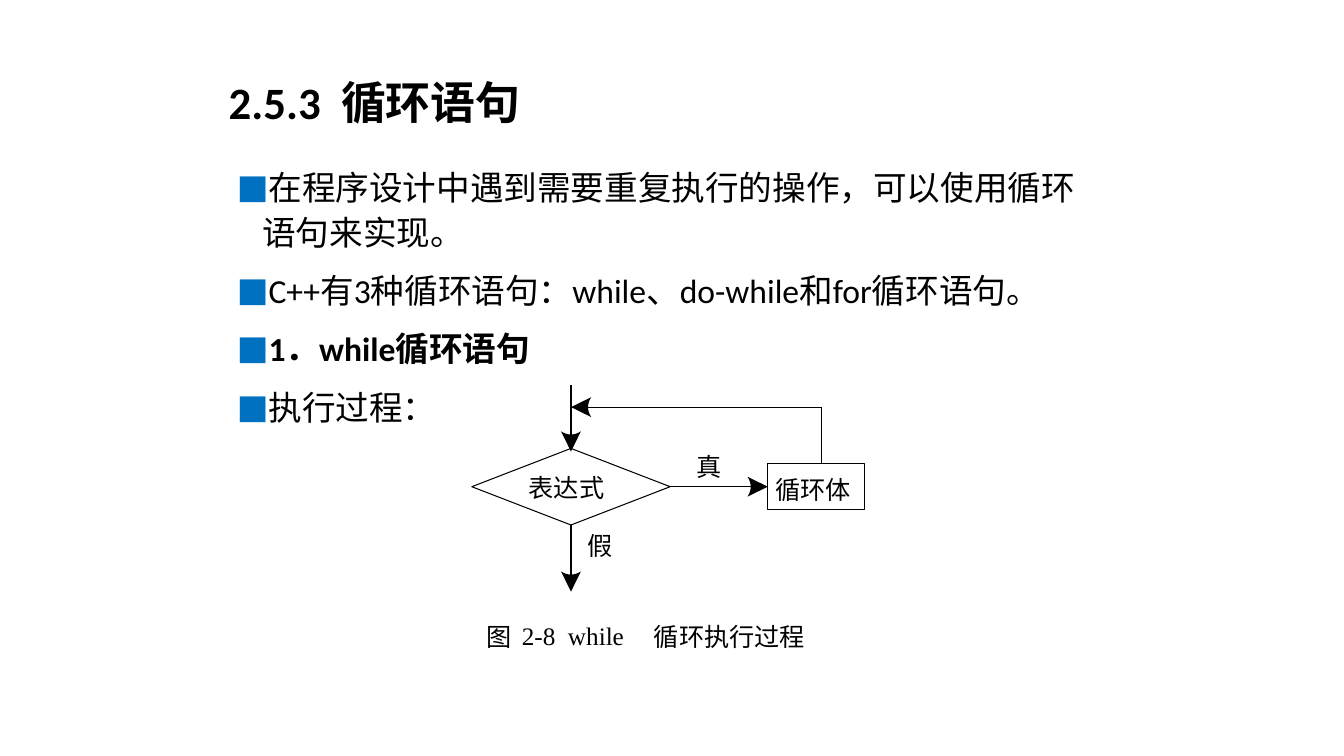
import pptx
import pptx.util
import pptx.dml.color
import pptx.enum.shapes
import pptx.enum.text
import pptx.oxml
import pptx.oxml.ns
from dataclasses import dataclass

Cm, Pt = pptx.util.Cm, pptx.util.Pt
SHAPE = pptx.enum.shapes.MSO_SHAPE
ALIGN = pptx.enum.text.PP_ALIGN
ANCHOR = pptx.enum.text.MSO_ANCHOR
FIT = pptx.enum.text.MSO_AUTO_SIZE


@dataclass(frozen=True)
class Theme:
    ink: str = "000000"
    bullet: str = "0070C0"
    latin: str = "Calibri"
    chinese: str = "Noto Sans CJK SC"
    serif: str = "Times New Roman"
    title_size: int = 32
    body_size: int = 24
    label_size: int = 18
    line_width: float = 0.75


THEME = Theme()

# Lengths are in centimetres: left, top, width, height
TITLE = "2.5.3  循环语句"
TITLE_AREA = (5.51, 1.47, 22.86, 2.34)
BODY_AREA = (5.72, 3.99, 22.43, 13.97)
BODY = [
    ("在程序设计中遇到需要重复执行的操作，可以使用循环语句来实现。", False),
    ("C++有3种循环语句：while、do-while和for循环语句。", False),
    ("1．while循环语句", True),
    ("执行过程：", False),
]
CONDITION = (11.89, 11.3, 5, 1.93)
LOOP_BODY = (19.35, 11.68, 2.44, 1.16)
LABEL_HEIGHT = 0.76
LABELS = [  # text, left, top, width, font
    ("表达式", 13.31, 11.91, 1.93, THEME.chinese),
    ("循环体", 19.53, 11.96, 1.91, THEME.chinese),
    ("真", 17.55, 11.38, 0.64, THEME.chinese),
    ("假", 14.81, 13.36, 0.64, THEME.chinese),
    ("图", 12.27, 15.65, 0.64, THEME.chinese),
    ("2-8  while", 13.13, 15.62, 2.62, THEME.serif),
    ("循环执行过程", 16.48, 15.65, 3.81, THEME.chinese),
]
ENTRY_TOP, RETURN_Y, EXIT_TIP, RETURN_X = 9.7, 10.26, 14.91, 20.7
HEAD_LENGTH, HEAD_HALF, HEAD_NOTCH = 0.51, 0.25, 0.08


def color(value):
    return pptx.dml.color.RGBColor.from_string(value)


def apply(target, values):
    for name, value in values.items():
        setattr(target, name, value)


def add_element(parent, tag, inner="", **attributes):
    settings = " ".join(f'{name}="{value}"' for name, value in attributes.items())
    namespace = pptx.oxml.ns.nsdecls("a")
    parent.append(pptx.oxml.parse_xml(f"<a:{tag} {namespace} {settings}>{inner}</a:{tag}>"))


def write(para, text, font, size, bold=False):
    span = para.add_run()
    span.text = text
    apply(span.font, {"name": font, "size": Pt(size), "bold": bold})
    span.font.color.rgb = color(THEME.ink)
    add_element(span.font._element, "ea", typeface=THEME.chinese)


def add_title(slide):
    title = slide.shapes.title
    apply(title, dict(zip(("left", "top", "width", "height"), map(Cm, TITLE_AREA))))
    apply(title.text_frame, {"vertical_anchor": ANCHOR.MIDDLE, "auto_size": FIT.NONE})
    para = title.text_frame.paragraphs[0]
    apply(para, {"alignment": ALIGN.LEFT, "line_spacing": 0.9})
    write(para, TITLE, THEME.latin, THEME.title_size, True)


def add_body(slide):
    frame = slide.shapes.add_textbox(*map(Cm, BODY_AREA)).text_frame
    frame.word_wrap = True
    for index, (text, bold) in enumerate(BODY):
        para = frame.add_paragraph() if index else frame.paragraphs[0]
        apply(para, {"line_spacing": 1.1, "space_before": Pt(10)})
        write(para, text, THEME.latin, THEME.body_size, bold)
        layout = para._p.get_or_add_pPr()
        layout.set("marL", str(Cm(0.64)))
        layout.set("indent", str(Cm(-0.64)))
        add_element(layout, "buClr", f'<a:srgbClr val="{THEME.bullet}"/>')
        add_element(layout, "buFont", typeface=THEME.latin)
        add_element(layout, "buChar", char="■")


def style_line(line):
    line.color.rgb = color(THEME.ink)
    line.width = Pt(THEME.line_width)


def add_node(chart, kind, area):
    node = chart.shapes.add_shape(kind, *map(Cm, area))
    node.shadow.inherit = False
    node.fill.background()
    style_line(node.line)


def add_label(chart, text, left, top, width, font):
    frame = chart.shapes.add_textbox(*map(Cm, (left, top, width, LABEL_HEIGHT))).text_frame
    margins = ("margin_left", "margin_top", "margin_right", "margin_bottom")
    apply(frame, dict.fromkeys(margins, 0))
    apply(frame, {"word_wrap": False, "auto_size": FIT.SHAPE_TO_FIT_TEXT})
    frame.paragraphs[0].alignment = ALIGN.CENTER
    write(frame.paragraphs[0], text, font, THEME.label_size)


def add_line(chart, start, end):
    line = chart.shapes.add_connector(
        pptx.enum.shapes.MSO_CONNECTOR.STRAIGHT, *map(Cm, start + end))
    style_line(line.line)
    add_element(line._element.spPr, "effectLst")


def add_arrow(chart, start, tip):
    """Draw a straight axis-aligned line ending in a large head with a curved back."""
    run, rise = tip[0] - start[0], tip[1] - start[1]
    length = abs(run) + abs(rise)
    along_x, along_y = run / length, rise / length

    def point(back, side):
        return (Cm(tip[0] - back * along_x - side * along_y),
                Cm(tip[1] - back * along_y + side * along_x))

    line_end = (tip[0] - 0.38 * along_x, tip[1] - 0.38 * along_y)
    add_line(chart, start, line_end)
    builder = chart.shapes.build_freeform(*point(0, 0))
    sides = [step / 4 for step in range(-4, 5)]
    builder.add_line_segments(
        [point(HEAD_LENGTH - HEAD_NOTCH * (1 - side ** 2), side * HEAD_HALF) for side in sides],
        close=True)
    head = builder.convert_to_shape()
    head.shadow.inherit = False
    head.fill.solid()
    head.fill.fore_color.rgb = color(THEME.ink)
    head.line.fill.background()


def add_flowchart(slide):
    chart = slide.shapes.add_group_shape()
    left, top, width, height = CONDITION
    middle_x, middle_y = left + width / 2, top + height / 2
    add_node(chart, SHAPE.DIAMOND, CONDITION)
    add_node(chart, SHAPE.RECTANGLE, LOOP_BODY)
    for label in LABELS:
        add_label(chart, *label)
    add_line(chart, (RETURN_X, RETURN_Y), (RETURN_X, LOOP_BODY[1]))
    for start, tip in [
        ((middle_x, ENTRY_TOP), (middle_x, top + 0.08)),
        ((middle_x, top + height), (middle_x, EXIT_TIP)),
        ((RETURN_X, RETURN_Y), (middle_x, RETURN_Y)),
        ((left + width, middle_y), (LOOP_BODY[0], middle_y)),
    ]:
        add_arrow(chart, start, tip)


def main():
    deck = pptx.Presentation()
    apply(deck, {"slide_width": Cm(33.87), "slide_height": Cm(19.05)})
    slide = deck.slides.add_slide(deck.slide_layouts.get_by_name("Title Only"))
    add_body(slide)
    add_title(slide)
    add_flowchart(slide)
    deck.save("out.pptx")


if __name__ == "__main__":
    main()
